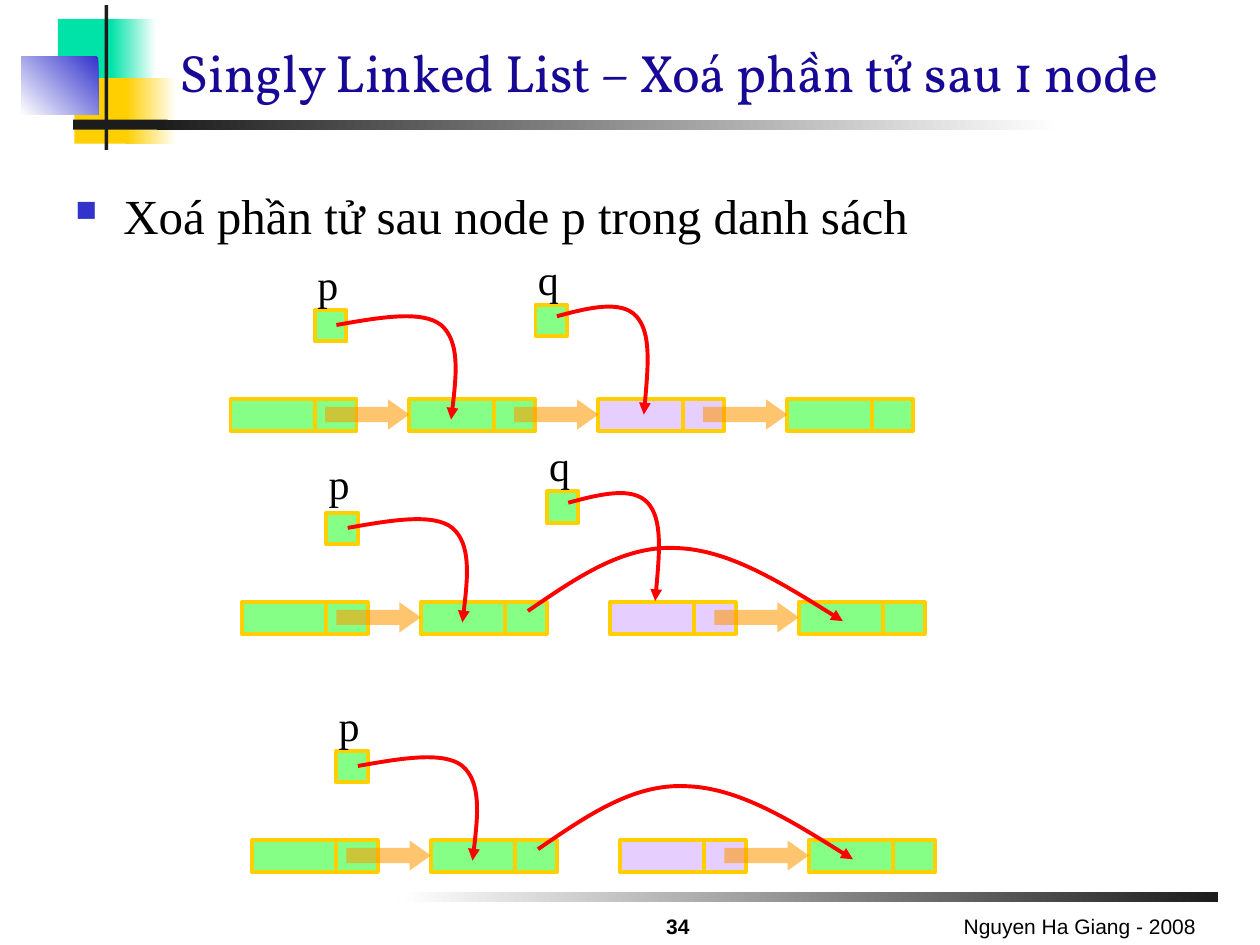
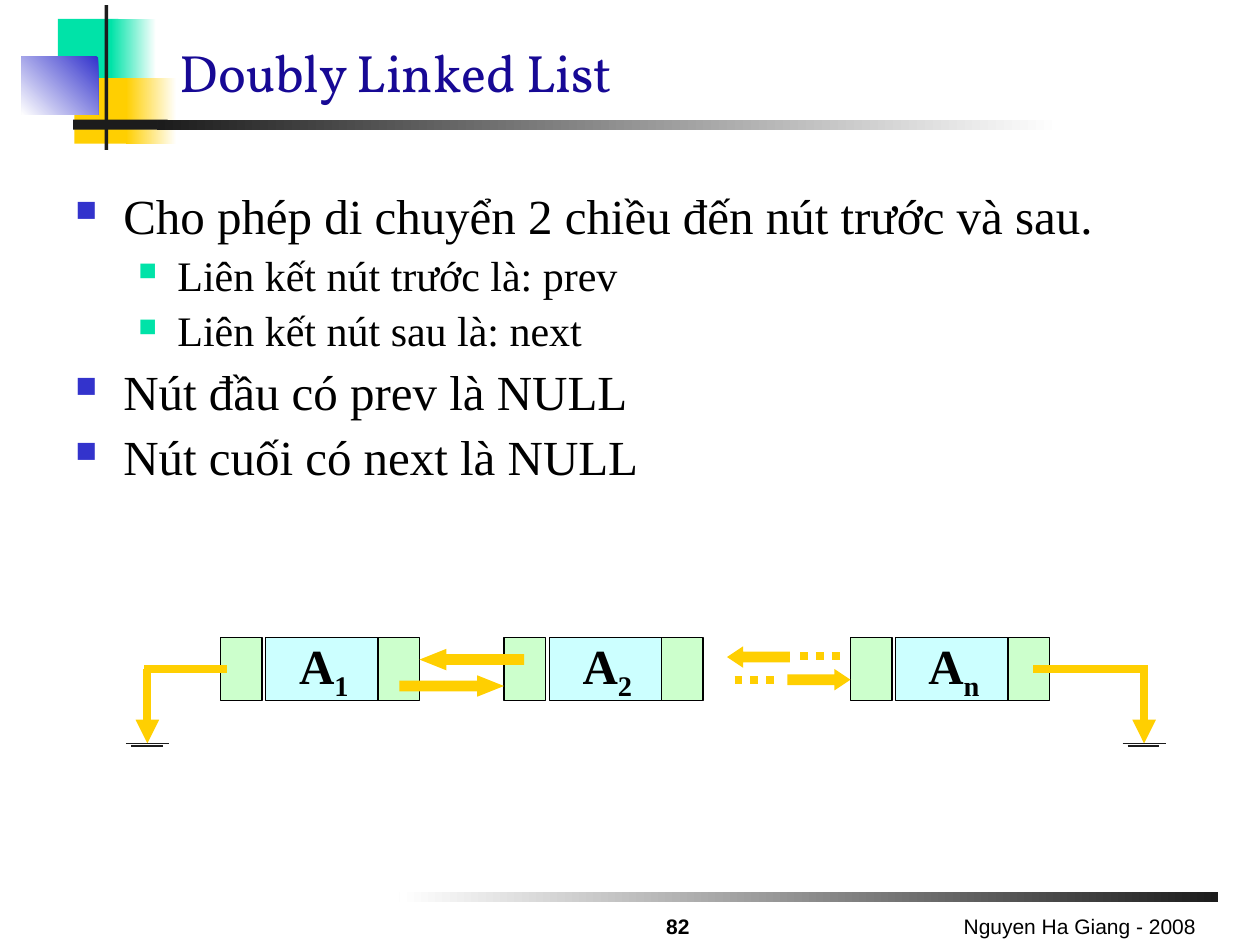
from lxml.etree import SubElement
from pptx import Presentation
from pptx.dml.color import RGBColor
from pptx.enum.dml import MSO_LINE as DASH
from pptx.enum.shapes import MSO_CONNECTOR as CONNECTOR, MSO_SHAPE as SHAPE
from pptx.enum.text import MSO_ANCHOR as ANCHOR, PP_ALIGN as ALIGN
from pptx.oxml.ns import qn
from pptx.util import Inches, Pt

COLORS = {
    "ink": "1C1C1C", "white": "FFFFFF", "black": "000000", "title": "170995",
    "mint": "00E3A8", "gold": "FFCF01", "blue": "3333CC", "red": "FF0000",
    "node": "00FF00", "removed": "CC99FF", "link": "FF9900",
    "value": "CCFFFF", "pointer": "CCFFCC",
}
RGB = {name: RGBColor.from_string(value) for name, value in COLORS.items()}

# Text styles: font attributes and colour
SERIF = "Times New Roman"
FONTS = {
    "title": ({"name": "Vollkorn", "size": Pt(30)}, "title"),
    "level 0": ({"name": SERIF, "size": Pt(28)}, "black"),
    "level 1": ({"name": SERIF, "size": Pt(24)}, "black"),
    "label": ({"name": SERIF, "size": Pt(24)}, "black"),
    "value": ({"name": SERIF, "size": Pt(28), "bold": True}, "black"),
    "author": ({"name": "Arial", "size": Pt(12)}, "black"),
    "number": ({"name": "Arial", "size": Pt(12), "bold": True}, "black"),
}
# Bullet levels: left margin, hanging indent, space before, bullet colour
LEVELS = [(0.38, -0.38, 3.5, "blue"), (0.81, -0.31, 3, "mint")]

# Bands of every slide: left, top, width, height, fill (start, end, angle)
BANDS = [
    ((3.17, 7.08, 6.5, 0.08), ("ink", "white", 180)),
    ((0.46, 0.15, 0.48, 0.52), "mint"),
    ((0.88, 0.15, 0.36, 0.52), ("white", "mint", 180)),
    ((0.59, 0.62, 0.46, 0.52), "gold"),
    ((1, 0.62, 0.4, 0.52), ("white", "gold", 180)),
    ((0.17, 0.45, 0.61, 0.46), ("blue", "white", 225)),
    ((0.83, 0.04, 0.03, 1.15), "ink"),
    ((0.58, 0.95, 0.75, 0.08), "ink"),
    ((1.25, 0.95, 7.16, 0.08), ("white", "ink", 180)),
]


def add_block(slide, at, fill, line=None, opacity=None, kind=SHAPE.RECTANGLE, head=None):
    """Add a preset shape; line is (colour, points), head the arrowhead length."""
    block = slide.shapes.add_shape(kind, *map(Inches, at))
    block.shadow.inherit = False
    if isinstance(fill, tuple):
        *ends, angle = fill
        block.fill.gradient()
        block.fill.gradient_angle = angle
        for stop, color in zip(block.fill.gradient_stops, ends):
            stop.color.rgb = RGB[color]
    else:
        block.fill.solid()
        block.fill.fore_color.rgb = RGB[fill]
    if opacity:
        color = block._element.spPr.find(".//" + qn("a:srgbClr"))
        SubElement(color, qn("a:alpha"), val=str(opacity * 1000))
    if line:
        block.line.color.rgb, block.line.width = RGB[line[0]], Pt(line[1])
    else:
        block.line.fill.background()
    if head:
        block.adjustments[0], block.adjustments[1] = 0.5, head
    return block


def write(frame, text, style, align=ALIGN.LEFT, anchor=ANCHOR.TOP, wrap=True, new=False):
    """Write one paragraph and return it; new adds it after those present."""
    frame.word_wrap, frame.vertical_anchor = wrap, anchor
    paragraph = frame.add_paragraph() if new else frame.paragraphs[0]
    paragraph.alignment = align
    attributes, color = FONTS[style]
    for part in text if isinstance(text, tuple) else (text,):
        run = paragraph.add_run()
        run.text = part
        run.font.color.rgb = RGB[color]
        for name, value in attributes.items():
            setattr(run.font, name, value)
    return paragraph


prs = Presentation()
prs.slide_width, prs.slide_height = Inches(10), Inches(7.5)

CONTENT = [
    ("Singly Linked List – Xoá phần tử sau 1 node", "34",
     [(0, "Xoá phần tử sau node p trong danh sách")]),
    ("Doubly Linked List", "82",
     [(0, "Cho phép di chuyển 2 chiều đến nút trước và sau."),
      (1, "Liên kết nút trước là: prev"),
      (1, "Liên kết nút sau là: next"),
      (0, "Nút đầu có prev là NULL"),
      (0, "Nút cuối có next là NULL")]),
]

# Bands, title, bullets and footer of both slides
for title, number, bullets in CONTENT:
    slide = prs.slides.add_slide(prs.slide_layouts[6])
    for at, fill in BANDS:
        add_block(slide, at, fill)
    for at, text, style, align in [
        ((1.33, 0.2, 8.5, 0.67), title, "title", ALIGN.LEFT),
        ((6.42, 7.17, 3.17, 0.33), "Nguyen Ha Giang - 2008", "author", ALIGN.RIGHT),
        ((4.92, 7.23, 0.92, 0.27), number, "number", ALIGN.CENTER),
    ]:
        frame = slide.shapes.add_textbox(*map(Inches, at)).text_frame
        write(frame, text, style, align, ANCHOR.BOTTOM)

    body = slide.shapes.add_textbox(*map(Inches, (0.5, 1.42, 9.29, 5.58))).text_frame
    for index, (level, text) in enumerate(bullets):
        margin, indent, before, color = LEVELS[level]
        paragraph = write(body, text, f"level {level}", new=index > 0)
        paragraph.level, paragraph.space_before = level, Pt(before)
        props = paragraph._p.get_or_add_pPr()
        props.set("marL", str(Inches(margin)))
        props.set("indent", str(Inches(indent)))
        SubElement(SubElement(props, qn("a:buClr")), qn("a:srgbClr"), val=COLORS[color])
        SubElement(props, qn("a:buSzPct"), val="60000")
        SubElement(props, qn("a:buChar"), char="■")

singly, doubly = prs.slides

# Singly linked list: three stages of removing the node after p
NODE_LEFTS = [0, 1.42, 2.92, 4.42]
GOLD_LINE = ("gold", 2.25)
# Curves as Bézier points relative to their start
P_CURVE = [(0.34, -0.06), (0.68, -0.12), (0.83, 0), (0.98, 0.13), (0.95, 0.44), (0.91, 0.75)]
Q_CURVE = [(0.26, -0.07), (0.51, -0.13), (0.63, 0), (0.75, 0.13), (0.72, 0.45), (0.69, 0.78)]
BYPASS = [(0.38, -0.26), (0.75, -0.52), (1.17, -0.5), (1.59, -0.49), (2.05, -0.2), (2.5, 0.08)]

# Stage: left, top, top of label p, top of q box, whether p's node skips the next
STAGES = [
    (1.83, 3.17, 2, 2.42, False),
    (1.92, 4.78, 3.58, 3.9, True),
    (2, 6.67, 5.5, None, True),
]
for left, top, p_label_top, q_top, bypassed in STAGES:
    for index, offset in enumerate(NODE_LEFTS):
        color = "removed" if index == 2 else "node"
        for cell_left, width in [(0, 0.67), (0.67, 0.33)]:
            at = (left + offset + cell_left, top, width, 0.25)
            add_block(singly, at, color, GOLD_LINE, 48)
    for index, offset in enumerate(NODE_LEFTS[1:], 1):
        if not (bypassed and index == 2):
            at = (left + offset - 0.67, top, 0.67, 0.24)
            add_block(singly, at, "link", opacity=57, kind=SHAPE.RIGHT_ARROW, head=0.705)

    pointers = [("p", left + 0.67, top - 0.71, p_label_top)]
    curves = [(left + 0.84, top - 0.59, P_CURVE)]
    if q_top:
        pointers.append(("q", left + 2.42, q_top, q_top - 0.46))
        curves.append((left + 2.59, q_top + 0.09, Q_CURVE))
    if bypassed:
        curves.append((left + 2.27, top + 0.07, BYPASS))

    for name, box_left, box_top, label_top in pointers:
        add_block(singly, (box_left, box_top, 0.25, 0.25), "node", GOLD_LINE, 48)
        at = (box_left - 0.08, label_top, 0.36, 0.5)
        label = singly.shapes.add_textbox(*map(Inches, at))
        write(label.text_frame, name, "label", wrap=False)

    for x, y, points in curves:
        builder = singly.shapes.build_freeform(Inches(x), Inches(y))
        builder.add_line_segments(
            [(Inches(x + dx), Inches(y + dy)) for dx, dy in points], close=False)
        curve = builder.convert_to_shape()
        curve.shadow.inherit = False
        curve.fill.background()
        curve.line.color.rgb, curve.line.width = RGB["red"], Pt(2.25)
        SubElement(curve.line._get_or_add_ln(), qn("a:tailEnd"), type="triangle")
        # Turn each three straight segments into one Bézier segment
        outline = curve._element.find(".//" + qn("a:path"))
        segments = outline.findall(qn("a:lnTo"))
        for first in range(0, len(segments), 3):
            bezier = SubElement(outline, qn("a:cubicBezTo"))
            for segment in segments[first:first + 3]:
                bezier.append(segment[0])
                outline.remove(segment)

# Doubly linked list: nodes with prev, value and next cells
THIN = ("black", 0.75)
for left, subscript in [(1.75, "1"), (4, "2"), (6.75, "n")]:
    value = add_block(doubly, (left + 0.36, 5.06, 0.92, 0.5), "value", THIN)
    paragraph = write(value.text_frame, ("A", subscript), "value",
                      ALIGN.CENTER, ANCHOR.MIDDLE, wrap=False)
    paragraph.runs[1]._r.get_or_add_rPr().set("baseline", "-25000")
    for cell_left in (left + 1.25, left):
        add_block(doubly, (cell_left, 5.06, 0.33, 0.5), "pointer", THIN)

# Links between neighbours
for x, y, width, kind, head in [
    (3.17, 5.36, 0.83, SHAPE.RIGHT_ARROW, 1.25),
    (6.25, 5.31, 0.5, SHAPE.RIGHT_ARROW, 0.75),
    (3.33, 5.15, 0.83, SHAPE.LEFT_ARROW, 1.25),
    (5.77, 5.13, 0.5, SHAPE.LEFT_ARROW, 0.75),
]:
    add_block(doubly, (x, y, width, 0.17), "gold", kind=kind, head=head)

# Dotted continuations, then the NULL ends with their ground marks
lines = [((x, y, x + 0.34, y), "gold", 4.5, "dots") for x, y in [(5.83, 5.4), (6.35, 5.21)]]
for start, corner, ground in [(1.8, 1.14, 1.17), (8.2, 9.11, 9.08)]:
    lines += [
        ((start, 5.31, corner, 5.31), "gold", 4.5, None),
        ((ground, 5.31, ground, 5.9), "gold", 4.5, "arrow"),
        ((ground - 0.17, 5.9, ground + 0.17, 5.9), "ink", 0.75, None),
        ((ground - 0.13, 5.92, ground + 0.12, 5.92), "ink", 0.75, None),
    ]
for ends, color, width, feature in lines:
    link = doubly.shapes.add_connector(CONNECTOR.STRAIGHT, *map(Inches, ends))
    link.line.color.rgb, link.line.width = RGB[color], Pt(width)
    if feature == "dots":
        link.line.dash_style = DASH.ROUND_DOT
    if feature == "arrow":
        SubElement(link.line._get_or_add_ln(), qn("a:tailEnd"), type="triangle")
    SubElement(link._element.spPr, qn("a:effectLst"))

prs.save("out.pptx")
